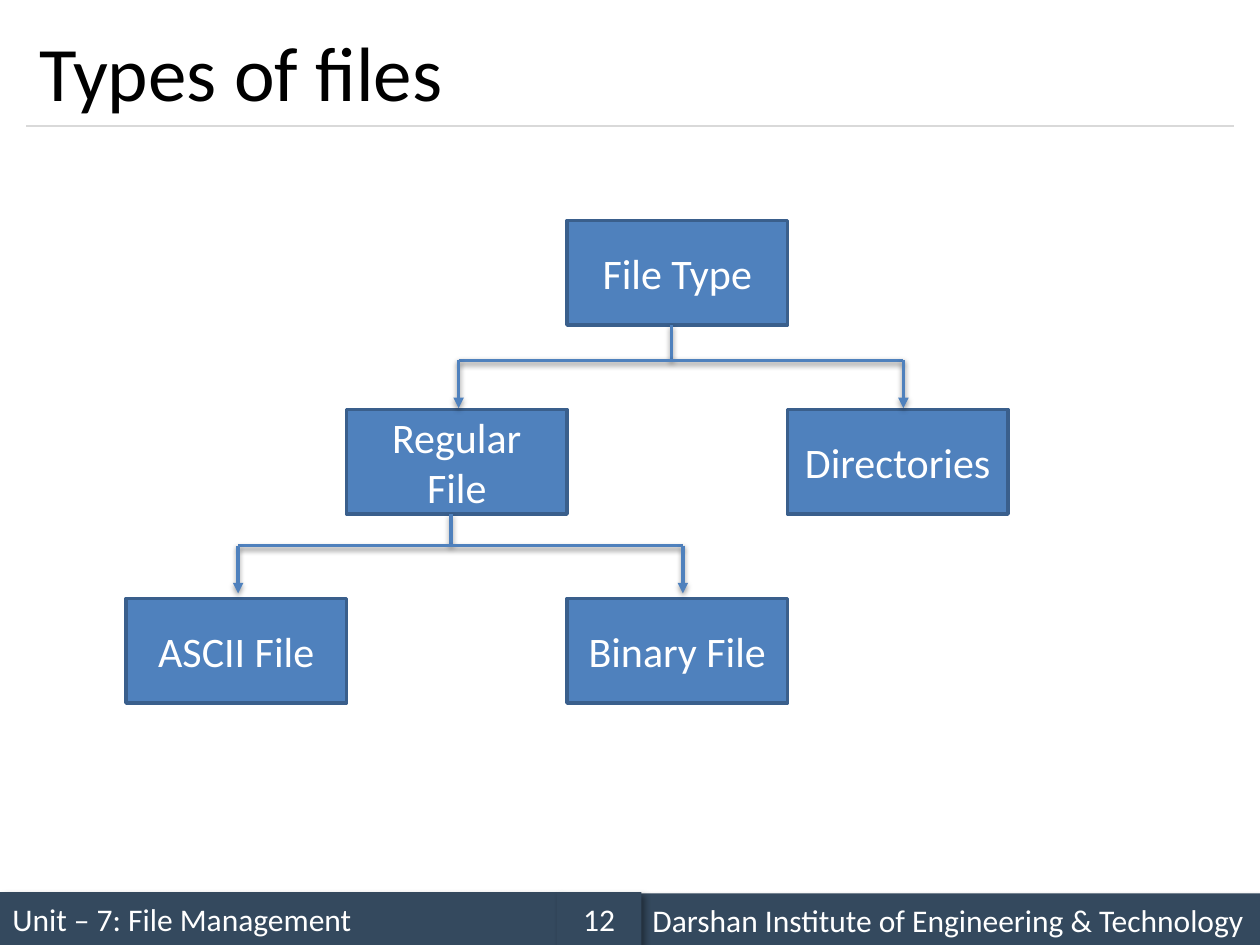
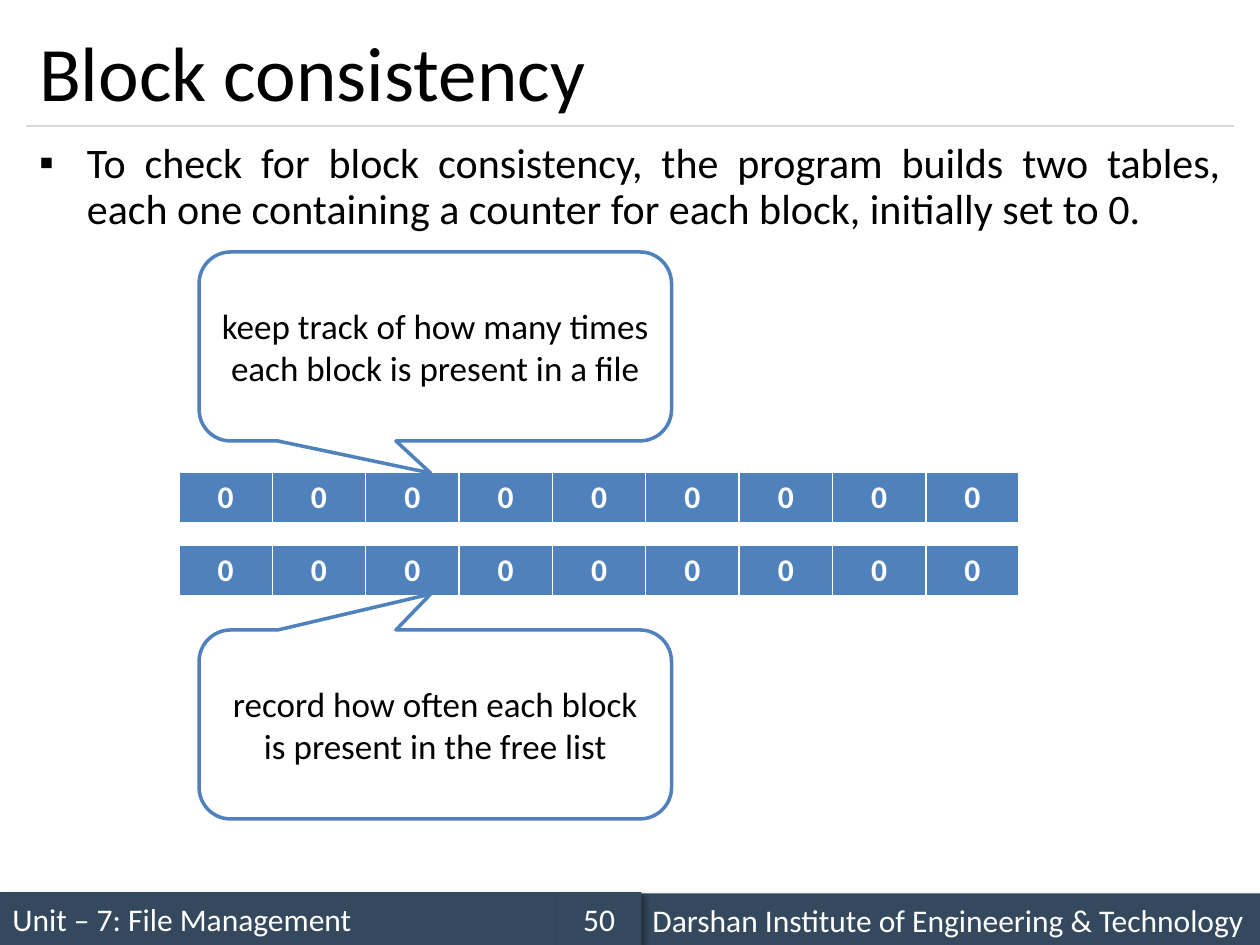
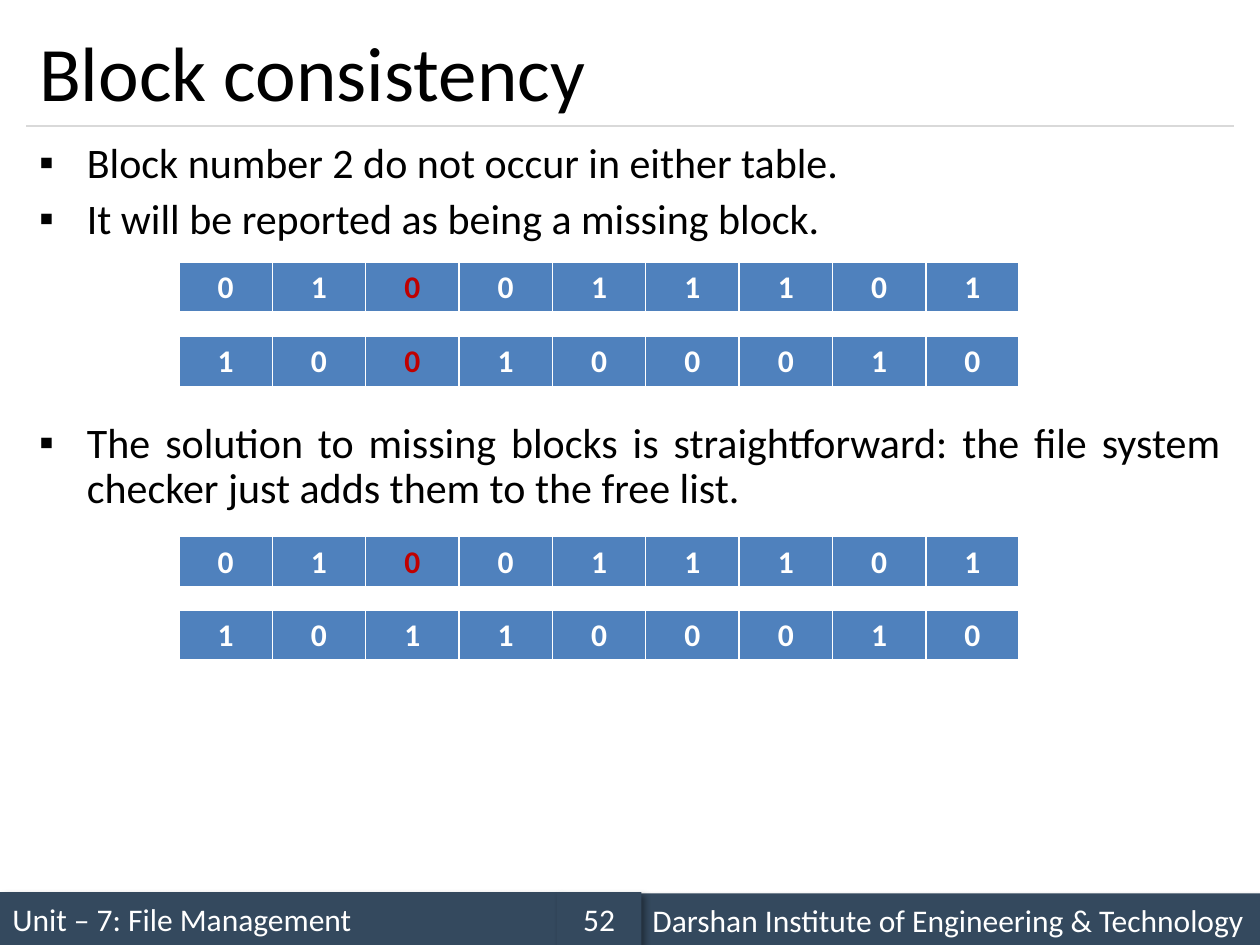
from lxml import etree
from pptx import Presentation
from pptx.dml.color import RGBColor
from pptx.enum.shapes import MSO_CONNECTOR, MSO_SHAPE
from pptx.enum.text import MSO_ANCHOR, MSO_AUTO_SIZE, PP_ALIGN
from pptx.oxml.ns import qn
from pptx.util import Inches, Pt

LEFT, CENTER, JUSTIFY = PP_ALIGN.LEFT, PP_ALIGN.CENTER, PP_ALIGN.JUSTIFY
TOP, MIDDLE = MSO_ANCHOR.TOP, MSO_ANCHOR.MIDDLE
RECT, CALLOUT = MSO_SHAPE.RECTANGLE, MSO_SHAPE.ROUNDED_RECTANGULAR_CALLOUT
STRAIGHT = MSO_CONNECTOR.STRAIGHT

FONT = "Calibri"
BLACK = RGBColor(0x00, 0x00, 0x00)
WHITE = RGBColor(0xFF, 0xFF, 0xFF)
BLUE = RGBColor(0x4F, 0x81, 0xBD)
EDGE = RGBColor(0x3A, 0x5F, 0x8C)
NAVY = RGBColor(0x34, 0x49, 0x5E)
GREY = RGBColor(0xD9, 0xD9, 0xD9)
RED = RGBColor(0xC0, 0x00, 0x00)

# Shadows: opacity %, blur pt, distance pt, angle
BAND_SHADE = (40, 4, 3, 45)
LINE_SHADE = (38, 3.1, 1.6, 90)

# Content
UNIT = "Unit – 7: File Management"
SCHOOL = "Darshan Institute of Engineering & Technology"

# Tree nodes: text, column, row
NODES = [
    ("File Type", 2, 0),
    ("Regular File", 1, 1),
    ("Directories", 3, 1),
    ("ASCII File", 0, 2),
    ("Binary File", 2, 2),
]
# Tree forks: stem x, stem top, bar y
FORKS = [(5.33, 2.58, 2.86), (3.58, 4.08, 4.33)]

# Bullets: text, space before in points
INTRO = [
    ("To check for block consistency, the program builds two tables, each one "
     "containing a counter for each block, initially set to 0.", 0),
]
MISSING = [
    ("Block number 2 do not occur in either table.", 0),
    ("It will be reported as being a missing block.", 6),
    ("The solution to missing blocks is straightforward: the file system "
     "checker just adds them to the free list.", 102),
]

# Counters: top, digits, red column
ZEROS = [(3.75, "000000000", None), (4.33, "000000000", None)]
COUNTS = [
    (2.08, "010011101", 2),
    (2.67, "100100010", 2),
    (4.26, "010011101", 2),
    (4.84, "101100010", None),
]
# Callouts: top, text, height of the tip
NOTES = [
    (2, "keep track of how many times each block is present in a file", 0.67),
    (5, "record how often each block is present in the free list", -0.69),
]


def write(par, text, size, color, align=LEFT, bold=False):
    par.alignment = align
    run = par.add_run()
    run.text = text
    font = run.font
    font.name, font.size, font.bold = FONT, Pt(size), bold
    font.color.rgb = color


def shade(item, look):
    alpha, blur, dist, angle = look
    props = item.element.spPr
    effects = props.find(qn("a:effectLst"))
    if effects is None:
        effects = etree.SubElement(props, qn("a:effectLst"))
    outer = etree.SubElement(
        effects, qn("a:outerShdw"), blurRad=str(Pt(blur)), dist=str(Pt(dist)),
        dir=str(angle * 60000), algn="tl", rotWithShape="0")
    tint = etree.SubElement(outer, qn("a:srgbClr"), val=str(BLACK))
    etree.SubElement(tint, qn("a:alpha"), val=str(alpha * 1000))


def add_box(slide, kind, at, fill, edge, text, size, color, align=CENTER):
    box = slide.shapes.add_shape(kind, *map(Inches, at))
    box.fill.solid()
    box.fill.fore_color.rgb = fill
    if edge is None:
        box.line.fill.background()
    else:
        box.line.color.rgb = edge
        box.line.width = Pt(2)
    box.shadow.inherit = False
    frame = box.text_frame
    frame.word_wrap = True
    frame.vertical_anchor = MIDDLE
    write(frame.paragraphs[0], text, size, color, align)
    return box


def add_line(slide, x1, y1, x2, y2, color=BLUE, width=2, look=LINE_SHADE, arrow=False):
    line = slide.shapes.add_connector(STRAIGHT, *map(Inches, (x1, y1, x2, y2)))
    line.line.color.rgb = color
    line.line.width = Pt(width)
    if arrow:
        etree.SubElement(line.line._get_or_add_ln(), qn("a:tailEnd"), type="triangle")
    if look:
        shade(line, look)
    else:
        etree.SubElement(line.element.spPr, qn("a:effectLst"))


def place(holder, top, height, anchor):
    holder.left, holder.top = Inches(0.21), Inches(top)
    holder.width, holder.height = Inches(9.58), Inches(height)
    frame = holder.text_frame
    frame.word_wrap = True
    frame.auto_size = MSO_AUTO_SIZE.NONE
    frame.vertical_anchor = anchor
    return frame


def add_slide(deck, title, page, bullets=()):
    slide = deck.slides.add_slide(deck.slide_layouts[1 if bullets else 5])
    frame = place(slide.shapes.title, 0.12, 0.88, MIDDLE)
    write(frame.paragraphs[0], title, 44, BLACK)
    add_line(slide, 0.21, 1, 9.79, 1, GREY, 0.75, None)

    # Footer bands
    for x, y, width, text, align in [
        (0, 7.08, 4.42, UNIT, LEFT),
        (5.08, 7.09, 4.92, SCHOOL, LEFT),
        (4.42, 7.08, 0.67, page, CENTER),
    ]:
        band = add_box(slide, RECT, (x, y, width, 0.42), NAVY, None, text, 18, WHITE, align)
        shade(band, BAND_SHADE)

    if bullets:
        add_list(slide.placeholders[1], bullets)
    return slide


def add_list(holder, bullets):
    frame = place(holder, 1.08, 5.83, TOP)
    for i, (text, gap) in enumerate(bullets):
        par = frame.add_paragraph() if i else frame.paragraphs[0]
        props = par._p.get_or_add_pPr()
        props.set("marL", str(Inches(0.38)))
        props.set("indent", str(-Inches(0.38)))
        etree.SubElement(props, qn("a:buChar"), char="▪")
        par.line_spacing = 0.9
        par.space_before = Pt(gap)
        write(par, text, 24, BLACK, JUSTIFY)


def add_border(cell):
    props = cell._tc.get_or_add_tcPr()
    for i, (side, width) in enumerate([("L", 1), ("R", 1), ("T", 1), ("B", 3)]):
        line = etree.Element(qn("a:ln" + side), w=str(Pt(width)))
        fill = etree.SubElement(line, qn("a:solidFill"))
        etree.SubElement(fill, qn("a:srgbClr"), val=str(WHITE))
        props.insert(i, line)


def add_counts(slide, rows):
    for top, digits, red in rows:
        count = len(digits)
        table = slide.shapes.add_table(
            1, count, Inches(1.42), Inches(top), Inches(6.67), Inches(0.41)).table
        for col, digit in enumerate(digits):
            table.columns[col].width = Inches(6.67 / count)
            cell = table.cell(0, col)
            cell.fill.solid()
            cell.fill.fore_color.rgb = BLUE
            add_border(cell)
            color = RED if col == red else WHITE
            write(cell.text_frame.paragraphs[0], digit, 18, color, CENTER, True)


def add_tree(slide):
    for text, col, row in NODES:
        at = (1 + 1.75 * col, 1.75 + 1.5 * row, 1.75, 0.83)
        add_box(slide, RECT, at, BLUE, EDGE, text, 24, WHITE)
    for stem, top, bar in FORKS:
        left = stem - 1.69
        right = left + 3.53
        add_line(slide, stem, top, stem, bar)
        add_line(slide, left, bar, right, bar)
        for x in (left, right):
            add_line(slide, x, bar, x, bar + 0.38, arrow=True)


def add_notes(slide):
    for top, text, tip in NOTES:
        note = add_box(slide, CALLOUT, (1.58, top, 3.75, 1.5), WHITE, BLUE, text, 20, BLACK)
        note.adjustments[0] = -0.01
        note.adjustments[1] = tip


def main():
    deck = Presentation()
    deck.slide_width, deck.slide_height = Inches(10), Inches(7.5)

    add_tree(add_slide(deck, "Types of files", "12"))

    slide = add_slide(deck, "Block consistency", "50", INTRO)
    add_counts(slide, ZEROS)
    add_notes(slide)

    add_counts(add_slide(deck, "Block consistency", "52", MISSING), COUNTS)

    deck.save("out.pptx")


if __name__ == "__main__":
    main()
